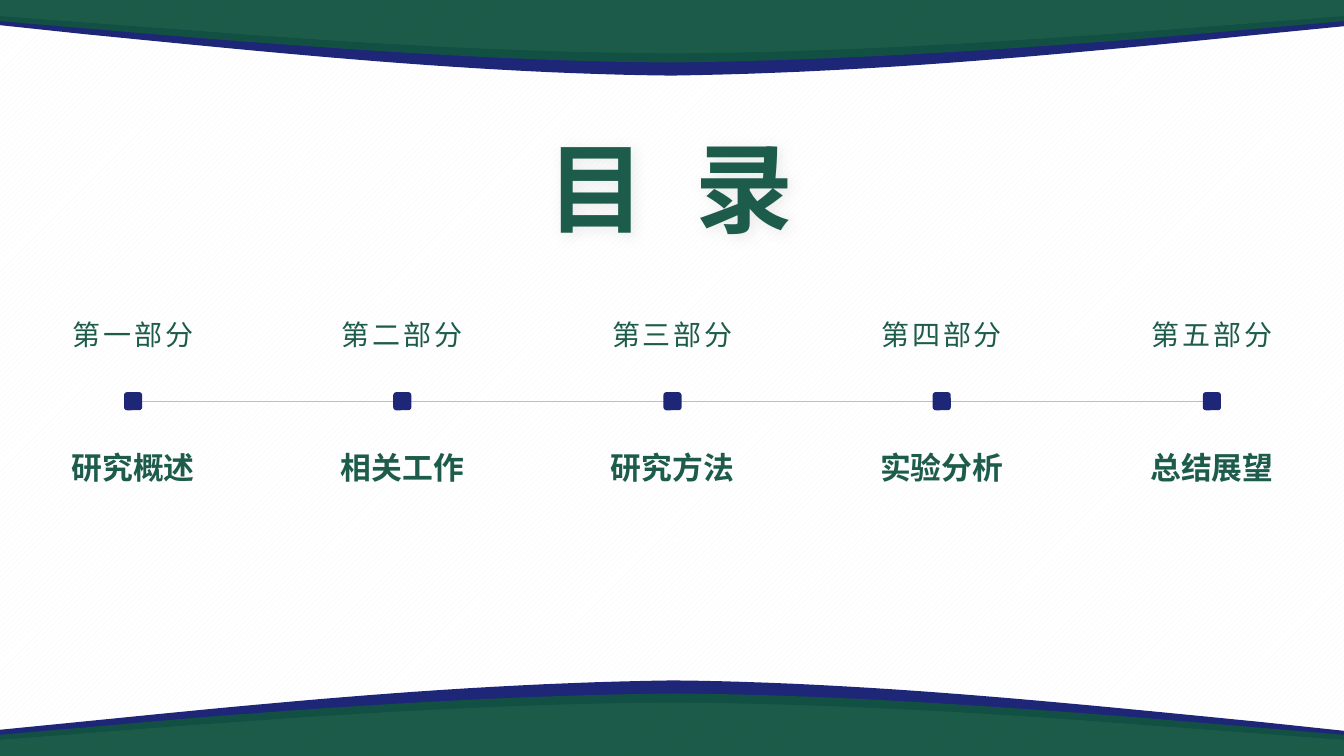
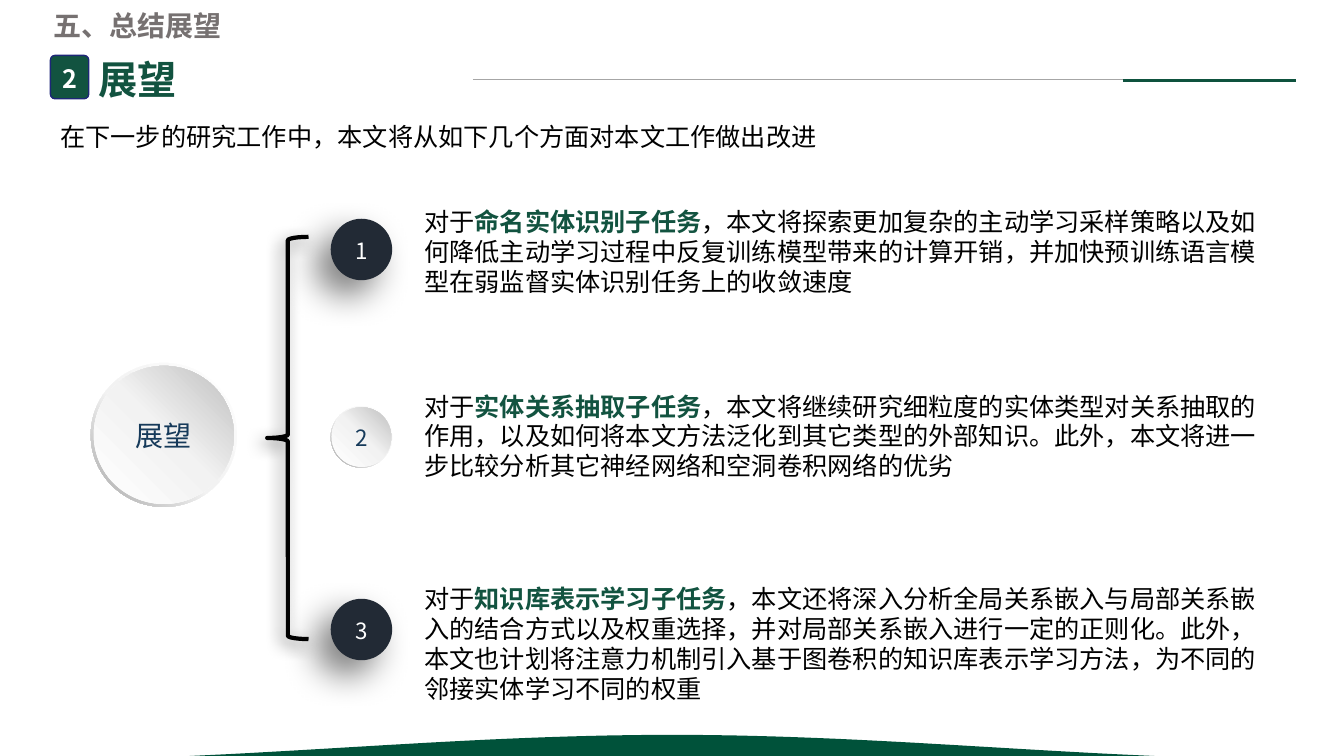
from lxml import etree
from pptx import Presentation
from pptx.dml.color import RGBColor
from pptx.enum.dml import MSO_PATTERN
from pptx.enum.shapes import MSO_CONNECTOR, MSO_SHAPE
from pptx.enum.text import MSO_ANCHOR, PP_ALIGN
from pptx.oxml.ns import qn
from pptx.util import Emu, Pt

PX = 9144  # 100 px to the inch
WIDTH, HEIGHT = 1333, 750
FONT = "Noto Sans CJK SC"
LINE_PITCH = 1.19

# Colours
GREEN, DEEP_GREEN, BAND_GREEN, HILL_GREEN = "1D5C4A", "125340", "115340", "00523A"
NAVY, INK, SLATE = "1E2678", "163A5A", "222A35"
BLACK, WHITE, GREY = "000000", "FFFFFF", "767171"
RIM = ([(0, WHITE), (55, "F2F2F2"), (100, "A6A6A6")], 225)
FACE = ([(0, WHITE), (51, "F2F2F2"), (100, "BFBFBF")], 45)

# Outlines: pairs are corners, sixes are Bezier curves
NAVY_BAND = [(667, 675), (861, 677, 1055, 697, 1248, 716), (1333, 725), (1333, 734),
             (1132, 719), (977, 707, 822, 698, 667, 697), (502, 698, 347, 708, 195, 719),
             (0, 734), (0, 724), (81, 716), (270, 697, 461, 678, 667, 675)]
GREEN_BAND = [(667, 688), (822, 689, 977, 700, 1132, 712), (1333, 729), (1333, 750),
              (0, 750), (0, 729), (195, 712), (347, 700, 502, 690, 667, 688)]
HILL = [(188, 750), (345, 743, 499, 729, 667, 729), (832, 729, 983, 743, 1145, 750)]

PARTS = [("第一部分", "研究概述"), ("第二部分", "相关工作"), ("第三部分", "研究方法"),
         ("第四部分", "实验分析"), ("第五部分", "总结展望")]

# Top of circle, top of text, height of text, task, plan
PLANS = [
    (217, 198, 101, "命名实体识别子任务",
     "，本文将探索更加复杂的主动学习采样策略以及如何降低主动学习过程中反复训练模型带来的"
     "计算开销，并加快预训练语言模型在弱监督实体识别任务上的收敛速度"),
    (403, 381, 101, "实体关系抽取子任务",
     "，本文将继续研究细粒度的实体类型对关系抽取的作用，以及如何将本文方法泛化到其它类型的"
     "外部知识。此外，本文将进一步比较分析其它神经网络和空洞卷积网络的优劣"),
    (594, 572, 131, "知识库表示学习子任务",
     "，本文还将深入分析全局关系嵌入与局部关系嵌入的结合方式以及权重选择，并对局部关系嵌入"
     "进行一定的正则化。此外，本文也计划将注意力机制引入基于图卷积的知识库表示学习方法，"
     "为不同的邻接实体学习不同的权重"),
]


def px(length):
    return Emu(round(length * PX))


def rgb(value):
    return RGBColor.from_string(value)


def add_xml(parent, tag, **attributes):
    child = etree.SubElement(parent, qn(tag))
    for key, value in attributes.items():
        child.set(key, str(value))
    return child


def set_fill(shape, fill, alpha=None):
    """Fill with nothing, a colour, or a (stops, angle) gradient."""
    if fill is None:
        shape.fill.background()
    elif isinstance(fill, str):
        shape.fill.solid()
        shape.fill.fore_color.rgb = rgb(fill)
        if alpha:
            colour = next(shape._element.spPr.iter(qn("a:srgbClr")))
            add_xml(colour, "a:alpha", val=alpha * 1000)
    else:
        stops, angle = fill
        shape.fill.gradient()
        shape.fill.gradient_angle = angle
        stop_list = next(shape._element.spPr.iter(qn("a:gsLst")))
        for stop in list(stop_list):
            stop_list.remove(stop)
        for position, colour in stops:
            stop = add_xml(stop_list, "a:gs", pos=position * 1000)
            add_xml(stop, "a:srgbClr", val=colour)


def set_shadow(shape, shadow=None):
    """Shadow is colour, opacity, blur, distance and angle."""
    shape.shadow.inherit = False
    if shadow:
        colour, opacity, blur, distance, angle = shadow
        effects = shape._element.spPr.find(qn("a:effectLst"))
        outer = add_xml(effects, "a:outerShdw", blurRad=Pt(blur), dist=Pt(distance),
                        dir=angle * 60000, algn="ctr", rotWithShape=0)
        add_xml(add_xml(outer, "a:srgbClr", val=colour), "a:alpha", val=opacity * 1000)


def set_style(shape, fill=None, alpha=None, line=None, shadow=None):
    set_fill(shape, fill, alpha)
    if line:
        colour, width = line
        shape.line.color.rgb = rgb(colour)
        shape.line.width = Pt(width)
    else:
        shape.line.fill.background()
    set_shadow(shape, shadow)
    return shape


def add_block(slide, kind, box, adjust=None, **style):
    shape = slide.shapes.add_shape(kind, *map(px, box))
    if adjust is not None:
        shape.adjustments[0] = adjust
    return set_style(shape, **style)


def add_outline(slide, outline, turned=False, **style):
    """Draw a closed outline, optionally turned by half a circle."""
    points = []
    for step in outline:
        if len(step) == 2:
            points.append(step)
            continue
        x0, y0 = points[-1]
        x1, y1, x2, y2, x3, y3 = step
        for i in range(1, 25):
            t = i / 24
            a, b, c, d = (1 - t) ** 3, 3 * t * (1 - t) ** 2, 3 * t * t * (1 - t), t ** 3
            points.append((a * x0 + b * x1 + c * x2 + d * x3,
                           a * y0 + b * y1 + c * y2 + d * y3))
    if turned:
        points = [(WIDTH - x, HEIGHT - y) for x, y in points]
    points = [(px(x), px(y)) for x, y in points]
    builder = slide.shapes.build_freeform(*points[0])
    builder.add_line_segments(points[1:], close=True)
    return set_style(builder.convert_to_shape(), **style)


def add_line(slide, start, end, colour, width):
    line = slide.shapes.add_connector(MSO_CONNECTOR.STRAIGHT, *map(px, start + end))
    line.line.color.rgb = rgb(colour)
    line.line.width = Pt(width)
    add_xml(line._element.spPr, "a:effectLst")
    return line


def write(shape, runs, size=18, colour=BLACK, bold=False, spacing=0,
          align=PP_ALIGN.LEFT, anchor=MSO_ANCHOR.TOP, wrap=True, side=10, top=7):
    """Write one paragraph; runs are (text, colour, bold) or one plain string."""
    frame = shape.text_frame
    frame.word_wrap = wrap
    frame.vertical_anchor = anchor
    frame.margin_left = frame.margin_right = px(side)
    frame.margin_top, frame.margin_bottom = px(top), 0
    paragraph = frame.paragraphs[0]
    paragraph.alignment = align
    paragraph.line_spacing = Pt(round(size * LINE_PITCH, 1))
    if isinstance(runs, str):
        runs = [(runs, colour, bold)]
    for words, run_colour, run_bold in runs:
        run = paragraph.add_run()
        run.text = words
        run.font.size, run.font.name, run.font.bold = Pt(size), FONT, run_bold
        run.font.color.rgb = rgb(run_colour)
        properties = run.font._element
        if spacing:
            properties.set("spc", str(spacing * 100))
        add_xml(properties, "a:ea", typeface=FONT)


def add_text(slide, box, runs, **text_format):
    shape = slide.shapes.add_textbox(*map(px, box))
    write(shape, runs, **text_format)
    return shape


def write_centred(shape, words, **text_format):
    write(shape, words, align=PP_ALIGN.CENTER, anchor=MSO_ANCHOR.MIDDLE,
          side=0, top=2, **text_format)


def add_ball(slide, box, inset):
    """Draw a pale ball: a shaded rim with a lit face."""
    left, top, width, height = box
    add_block(slide, MSO_SHAPE.DONUT, box, adjust=0.05, fill=RIM)
    face = (left + inset, top + inset, width - 2 * inset, height - 2 * inset)
    return add_block(slide, MSO_SHAPE.OVAL, face, fill=FACE)


def build_contents(slide):
    background = slide.background.fill
    background.patterned()
    background.pattern = MSO_PATTERN.WIDE_UPWARD_DIAGONAL
    background.fore_color.rgb = rgb("F6F6F6")
    background.back_color.rgb = rgb(WHITE)

    # Timeline with five parts
    timeline = add_line(slide, (123, 398), (1193, 398), "BFBFBF", 0.75)
    markers = []
    for i, (part, topic) in enumerate(PARTS):
        left = 60 + 535 * i // 2
        markers.append(add_block(slide, MSO_SHAPE.ROUNDED_RECTANGLE,
                                 (left + 63, 389, 18, 18), fill=NAVY))
        label = dict(colour=GREEN, align=PP_ALIGN.CENTER, wrap=False)
        add_text(slide, (left, 308, 144, 44), part, size=20, spacing=2, **label)
        add_text(slide, (left, 438, 144, 47), topic, size=22, bold=True, **label)
    timeline.begin_connect(markers[0], 1)
    timeline.end_connect(markers[-1], 1)

    # Title
    title = add_text(slide, (533, 120, 330, 130), "目录", size=70, colour=GREEN,
                     bold=True, spacing=36)
    set_shadow(title, ("BFBFBF", 29, 10, 3, 45))

    # Curved bands at the top and the bottom
    for turned in (True, False):
        add_outline(slide, NAVY_BAND, turned, fill=NAVY)
        add_outline(slide, GREEN_BAND, turned, fill=BAND_GREEN, alpha=95)


def build_outlook(slide):
    # Footer hill and heading
    add_outline(slide, HILL, fill=HILL_GREEN)
    add_line(slide, (469, 79), (1277, 79), "A6A6A6", 0.5)
    add_line(slide, (1114, 80), (1285, 80), "0E523E", 2)
    add_text(slide, (43, 2, 199, 44), "五、总结展望", size=20, colour=GREY, bold=True)
    badge = add_block(slide, MSO_SHAPE.ROUNDED_RECTANGLE, (50, 55, 38, 43),
                      adjust=0.12, fill=DEEP_GREEN, line=(NAVY, 1))
    write_centred(badge, "2", colour=WHITE, bold=True)
    add_text(slide, (88, 48, 120, 57), "展望", size=28, colour=DEEP_GREEN, bold=True)
    add_text(slide, (50, 114, 1202, 40),
             "在下一步的研究工作中，本文将从如下几个方面对本文工作做出改进")

    # Topic and brace
    topic = add_ball(slide, (90, 360, 145, 143), 3)
    write_centred(topic, "展望", size=20, colour=INK)
    add_block(slide, MSO_SHAPE.LEFT_BRACE, (265, 235, 41, 399), line=(BLACK, 3),
              shadow=(BLACK, 50, 11, 5, 135))

    # Numbered plans, dark and pale in turn
    for number, (circle_top, text_top, height, task, plan) in enumerate(PLANS, 1):
        box = (328, circle_top, 61, 61)
        if number % 2:
            circle = add_block(slide, MSO_SHAPE.OVAL, box, fill=SLATE,
                               shadow=(BLACK, 50, 25, 15, 135))
        else:
            circle = add_ball(slide, box, 1)
        write_centred(circle, str(number), size=16, colour=WHITE if number % 2 else INK)
        add_text(slide, (411, text_top, 852, height),
                 [("对于", BLACK, False), (task, DEEP_GREEN, True), (plan, BLACK, False)])


def main():
    deck = Presentation()
    deck.slide_width, deck.slide_height = px(WIDTH), px(HEIGHT)
    for build in (build_contents, build_outlook):
        build(deck.slides.add_slide(deck.slide_layouts[6]))
    deck.save("out.pptx")


if __name__ == "__main__":
    main()
